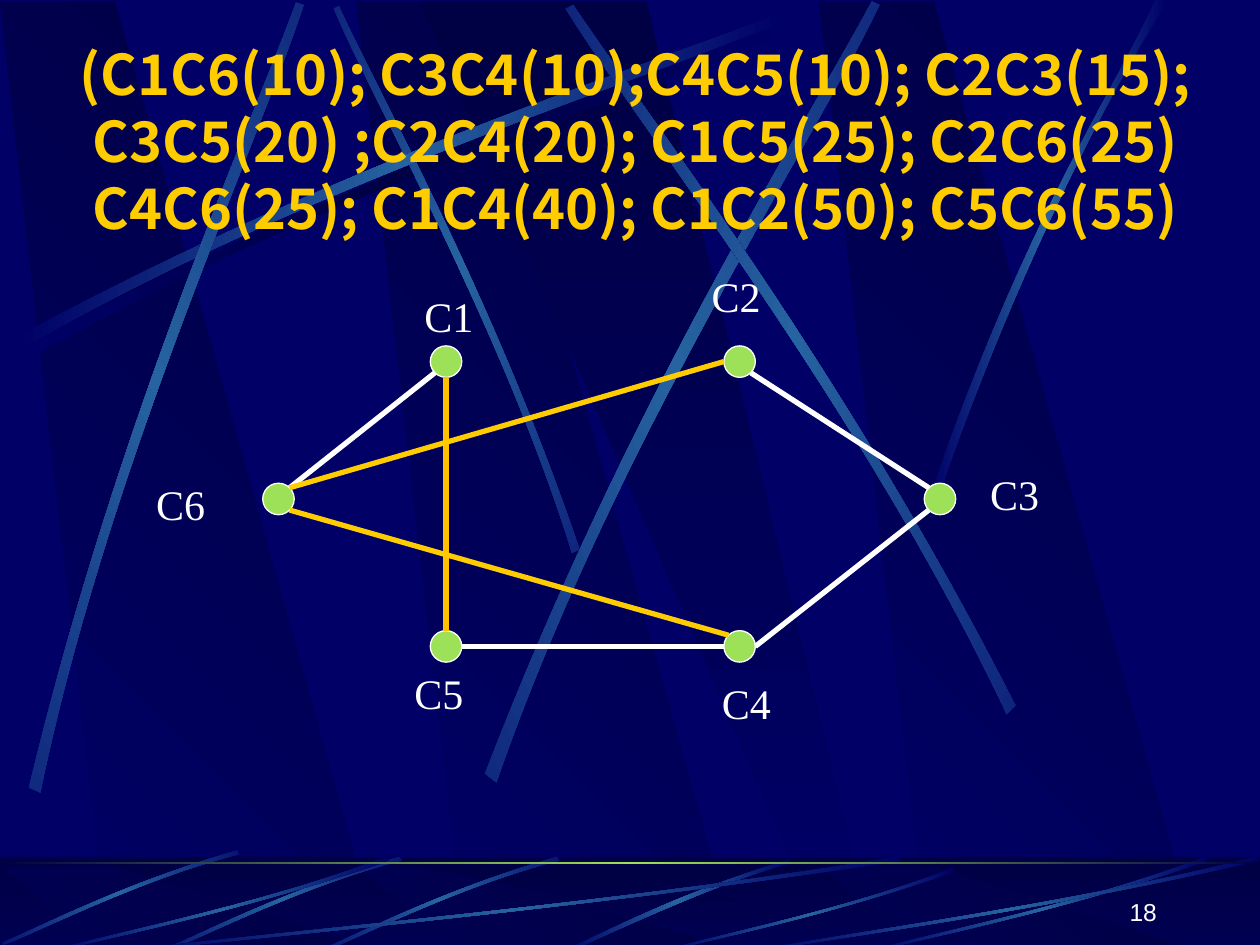
from math import cos, radians, sin
from lxml.etree import SubElement
from pptx import Presentation
from pptx.dml.color import RGBColor
from pptx.enum.shapes import MSO_CONNECTOR, MSO_SHAPE
from pptx.enum.text import MSO_ANCHOR, MSO_AUTO_SIZE, PP_ALIGN
from pptx.oxml.ns import qn
from pptx.util import Inches, Pt

THEME = {
    "navy": "000066", "dark": "000044", "glow": "2663A0", "lime": "9CE157",
    "white": "FFFFFF", "gold": "FFCC00", "amber": "FFC000",
    "title": {"name": "Noto Sans CJK SC", "size": Pt(32), "bold": True},
    "label": {"name": "Times New Roman", "size": Pt(24)},
    "number": {"name": "Arial", "size": Pt(14)},
}
WIDTH, HEIGHT = 10, 7.5
FLOOR = 6.8

TITLE = ("(C1C6(10); C3C4(10);C4C5(10); C2C3(15); C3C5(20) ;C2C4(20); C1C5(25); "
         "C2C6(25) C4C6(25); C1C4(40); C1C2(50); C5C6(55)")
PAGE_NUMBER = "18"

COLUMNS = (2.21, 3.54, 5.87, 7.46)
ROWS = (2.87, 3.96, 5.13)
NODE_SIZE = 0.25
LABEL_SIZE = (0.79, 0.51)
NODES = {
    "C1": {"cell": (1, 0), "label": (3.27, 2.26)},
    "C4": {"cell": (2, 2), "label": (5.63, 5.33)},
    "C5": {"cell": (1, 2), "label": (3.19, 5.25)},
    "C2": {"cell": (2, 0), "label": (5.55, 2.1)},
    "C3": {"cell": (3, 1), "label": (7.76, 3.67)},
    "C6": {"cell": (0, 1), "label": (1.14, 3.75)},
}
SIDES = {"top": 90, "top left": 135, "left": 180, "bottom left": 225,
         "bottom": 270, "bottom right": 315, "right": 0, "top right": 45}
EDGES = [
    ("C6", "top right", "C1", "bottom left", "white"),
    ("C5", "right", "C4", "left", "white"),
    ("C2", "bottom right", "C3", "top left", "white"),
    ("C4", "right", "C3", "bottom left", "white"),
    ("C1", "bottom", "C5", "top", "amber"),
    ("C6", "top right", "C2", "left", "gold"),
    ("C6", "bottom right", "C4", "top left", "gold"),
]

BAND_LEFTS = (2.83, 0, 6.5)
BAND_OFFSETS = (0.86, 3.02, 0.91, 0)
BEAM_COLUMNS = (3.33, 6.58, 6.94, 5.13)
GLOW_ANGLES = {0: 0, 45: 340, 34.7: 340, 311.7: 20, 321.6: 20, 315: 20}
WALL_STREAKS = [
    (0, "dark", [(0.2, 2.75), (2.84, 1.34), (5.24, 0.59), (6.26, 0.18),
                 (6.29, 0.24), (5.28, 0.69), (2.54, 1.51), (0.23, 2.85)]),
    (45, "glow", [(4.6, 4.36), (3.91, 2.34), (3.02, 0.77), (2.69, 0.05),
                  (2.65, 0.07), (2.95, 0.79), (3.98, 2.58), (4.54, 4.39)]),
    (0, "glow", [(0.14, 2.67), (2.78, 1.25), (5.18, 0.51), (6.2, 0.1),
                 (6.23, 0.16), (5.22, 0.61), (2.48, 1.43), (0.17, 2.77)]),
    (311.7, "glow", [(0.23, 6.25), (0.93, 3.34), (1.97, 1.05), (2.35, 0.02),
                     (2.41, 0.04), (2.07, 1.09), (0.86, 3.68), (0.32, 6.29)]),
    (321.6, "glow", [(3.85, 6.14), (4.98, 3.2), (6.38, 1.02), (6.92, 0.01),
                     (6.98, 0.04), (6.49, 1.08), (4.86, 3.55), (3.94, 6.21)]),
    (34.7, "glow", [(8.06, 5.6), (6.7, 2.93), (5.16, 0.95), (4.55, 0.04),
                    (4.49, 0.07), (5.07, 1.01), (6.85, 3.25), (7.99, 5.67)]),
    (0, "glow", [(7.38, 3.94), (8.14, 1.73), (8.88, 0.66), (9.17, 0),
                 (9.27, 0), (8.36, 1.45), (7.69, 3.22), (7.44, 3.97)]),
]
SHORT_STREAK = [(1.86, 0), (0.99, 0.25), (0.31, 0.6), (0, 0.73),
                (0.01, 0.75), (0.32, 0.63), (1.09, 0.23), (1.88, 0.03)]
LONG_STREAK = [(1, 0.04), (0.57, 0.57), (0.17, 0.85), (0.01, 1),
               (0, 0.99), (0.17, 0.81), (0.62, 0.51), (0.99, 0)]
SHORT_STREAK_PLACES = [(2.56, 6.8), (1.31, 6.8), (0.02, 6.75)]
LONG_STREAK_FRAMES = [(1, 6.8, 6.17, 0.75), (0.42, 6.8, 2.67, 0.75), (5.27, 6.89, 2.31, 0.66),
                      (6.92, 6.8, 2.67, 0.75), (6, 6.8, 4, 0.75)]
FLOOR_STREAKS = [
    (0, "glow", [(6.27, 6.82), (5.37, 7.09), (4.77, 7.42), (4.48, 7.54),
                 (4.53, 7.55), (4.9, 7.38), (5.71, 7), (6.28, 6.85)]),
    *[(315, "glow", [(left + x, top + y) for x, y in SHORT_STREAK])
      for left, top in SHORT_STREAK_PLACES],
    *[(0, "glow", [(left + x * width, top + y * height) for x, y in LONG_STREAK])
      for left, top, width, height in LONG_STREAK_FRAMES],
]


def color(name):
    return RGBColor.from_string(THEME[name])


def fill_solid(shape, name):
    shape.shadow.inherit = False
    shape.fill.solid()
    shape.fill.fore_color.rgb = color(name)


def fill_gradient(shape, names, angle):
    shape.shadow.inherit = False
    shape.line.fill.background()
    shape.fill.gradient()
    gradient = shape._element.spPr.find(qn("a:gradFill"))
    stops = gradient.find(qn("a:gsLst"))
    stops.clear()
    for index, name in enumerate(names):
        position = str(100000 * index // (len(names) - 1))
        stop = SubElement(stops, qn("a:gs"), pos=position)
        SubElement(stop, qn("a:srgbClr"), val=THEME[name])
    gradient.find(qn("a:lin")).set("ang", str(angle * 60000))


def add_outline(canvas, points):
    scaled = [(Inches(x), Inches(y)) for x, y in points]
    builder = canvas.shapes.build_freeform(*scaled[0], scale=1.0)
    builder.add_line_segments(scaled[1:], close=True)
    return builder.convert_to_shape()


def rotate(x, y, degrees):
    cosine, sine = cos(radians(degrees)), sin(radians(degrees))
    return x * cosine - y * sine, x * sine + y * cosine


def bend(shape):
    segments = shape._element.spPr.findall(".//" + qn("a:lnTo"))
    for first in (0, 4):
        triple = segments[first:first + 3]
        curve = triple[0].makeelement(qn("a:cubicBezTo"))
        triple[0].addprevious(curve)
        for segment in triple:
            curve.append(segment[0])
            segment.getparent().remove(segment)


def add_streak(canvas, rotation, middle, points):
    shape = add_outline(canvas, [rotate(x, y, -rotation) for x, y in points])
    bend(shape)
    center = shape.left + shape.width / 2, shape.top + shape.height / 2
    target = rotate(*center, rotation)
    shape.left = round(target[0] - shape.width / 2)
    shape.top = round(target[1] - shape.height / 2)
    shape.rotation = rotation
    fill_gradient(shape, ("navy", middle, "navy"), GLOW_ANGLES[rotation])


def add_bands(canvas, top, bottom):
    rows = (bottom, bottom, top, top)
    for left in BAND_LEFTS:
        band = add_outline(canvas, [(left + x, y) for x, y in zip(BAND_OFFSETS, rows)])
        fill_gradient(band, ("navy", "dark"), 315)
    beam = add_outline(canvas, list(zip(BEAM_COLUMNS, (top, bottom, bottom, top))))
    fill_gradient(beam, ("dark", "navy"), 90)


def add_box(canvas, kind, left, top, width, height):
    return canvas.shapes.add_shape(kind, *map(Inches, (left, top, width, height)))


def add_backdrop(slide):
    slide.background.fill.solid()
    slide.background.fill.fore_color.rgb = color("navy")
    backdrop = slide.shapes.add_group_shape()
    add_bands(backdrop, 0.01, 7.52)
    for streak in WALL_STREAKS:
        add_streak(backdrop, *streak)
    floor = add_box(backdrop, MSO_SHAPE.RECTANGLE, 0, FLOOR, WIDTH, 0.75)
    fill_gradient(floor, ("dark", "navy"), 90)
    add_bands(backdrop, 6.88, 7.55)
    veil = add_box(backdrop, MSO_SHAPE.RECTANGLE, 0, FLOOR, WIDTH, 0.75)
    fill_solid(veil, "dark")
    veil.line.fill.background()
    SubElement(veil._element.spPr.find(".//" + qn("a:srgbClr")), qn("a:alpha"), val="50000")
    for streak in FLOOR_STREAKS:
        add_streak(backdrop, *streak)
    horizon = add_box(backdrop, MSO_SHAPE.RECTANGLE, 0, 6.84, WIDTH, 0.02)
    fill_gradient(horizon, ("dark", "lime", "dark"), 0)


def add_text(slide, text, frame, style, ink, anchor=MSO_ANCHOR.TOP, **paragraph_format):
    text_frame = slide.shapes.add_textbox(*map(Inches, frame)).text_frame
    for name, value in {"word_wrap": True, "vertical_anchor": anchor,
                        "auto_size": MSO_AUTO_SIZE.NONE}.items():
        setattr(text_frame, name, value)
    paragraph = text_frame.paragraphs[0]
    for name, value in paragraph_format.items():
        setattr(paragraph, name, value)
    run = paragraph.add_run()
    run.text = text
    for name, value in THEME[style].items():
        setattr(run.font, name, value)
    run.font.color.rgb = color(ink)


def node_center(name):
    column, row = NODES[name]["cell"]
    return COLUMNS[column], ROWS[row]


def node_side(name, side):
    x, y = node_center(name)
    angle = radians(SIDES[side])
    return Inches(x + NODE_SIZE / 2 * cos(angle)), Inches(y - NODE_SIZE / 2 * sin(angle))


def add_graph(slide):
    for name in NODES:
        x, y = node_center(name)
        node = add_box(slide, MSO_SHAPE.OVAL, x - NODE_SIZE / 2, y - NODE_SIZE / 2, NODE_SIZE, NODE_SIZE)
        fill_solid(node, "lime")
        node.line.color.rgb, node.line.width = color("white"), Pt(0.75)
    for start, start_side, end, end_side, ink in EDGES:
        edge = slide.shapes.add_connector(
            MSO_CONNECTOR.STRAIGHT, *node_side(start, start_side), *node_side(end, end_side))
        edge.line.color.rgb, edge.line.width = color(ink), Pt(3)
        SubElement(edge._element.spPr, qn("a:effectLst"))
    for name in sorted(NODES):
        add_text(slide, name, (*NODES[name]["label"], *LABEL_SIZE), "label", "white")


presentation = Presentation()
presentation.slide_width, presentation.slide_height = Inches(WIDTH), Inches(HEIGHT)
page = presentation.slides.add_slide(presentation.slide_layouts[6])
add_backdrop(page)
add_text(page, TITLE, (0.42, 0.25, 9.25, 1.72), "title", "gold", MSO_ANCHOR.MIDDLE,
         alignment=PP_ALIGN.CENTER, line_spacing=Pt(38.4))
add_graph(page)
add_text(page, PAGE_NUMBER, (7.2, 6.9, 2.08, 0.5), "number", "white", MSO_ANCHOR.BOTTOM,
         alignment=PP_ALIGN.RIGHT)
presentation.save("out.pptx")
